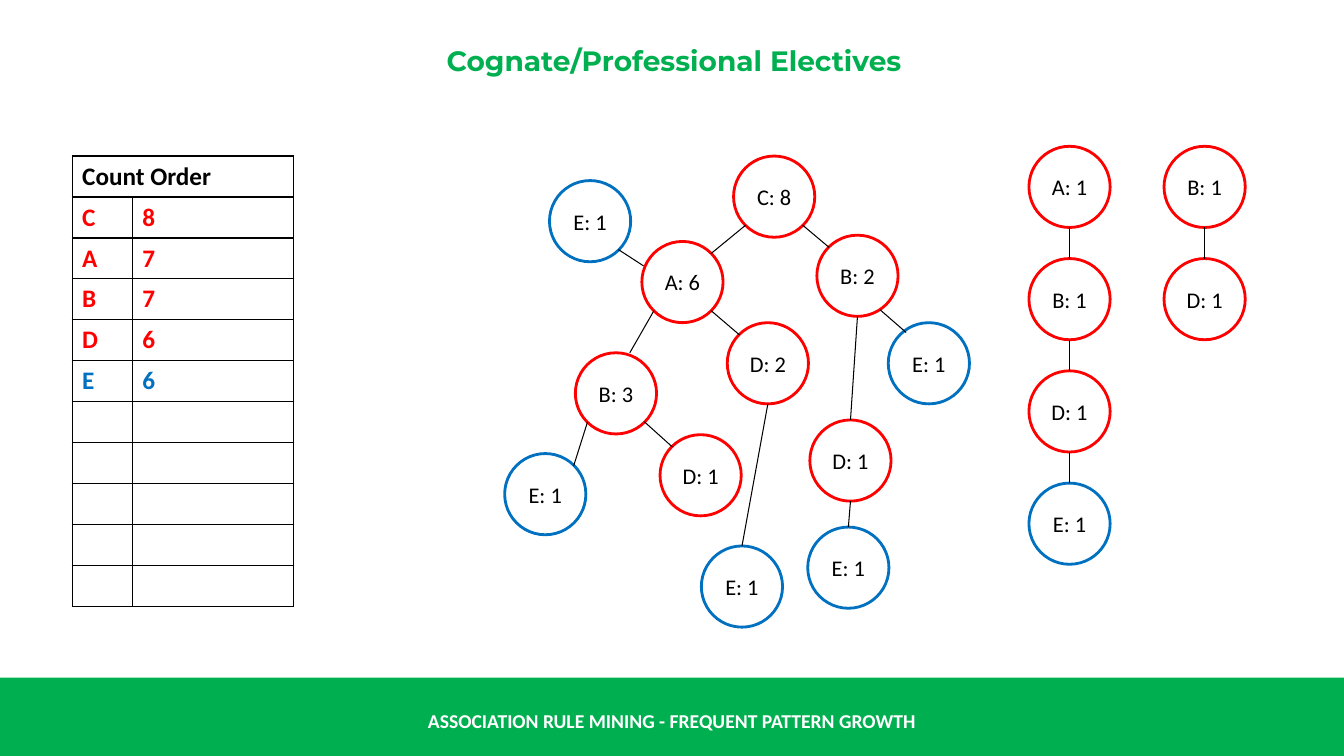
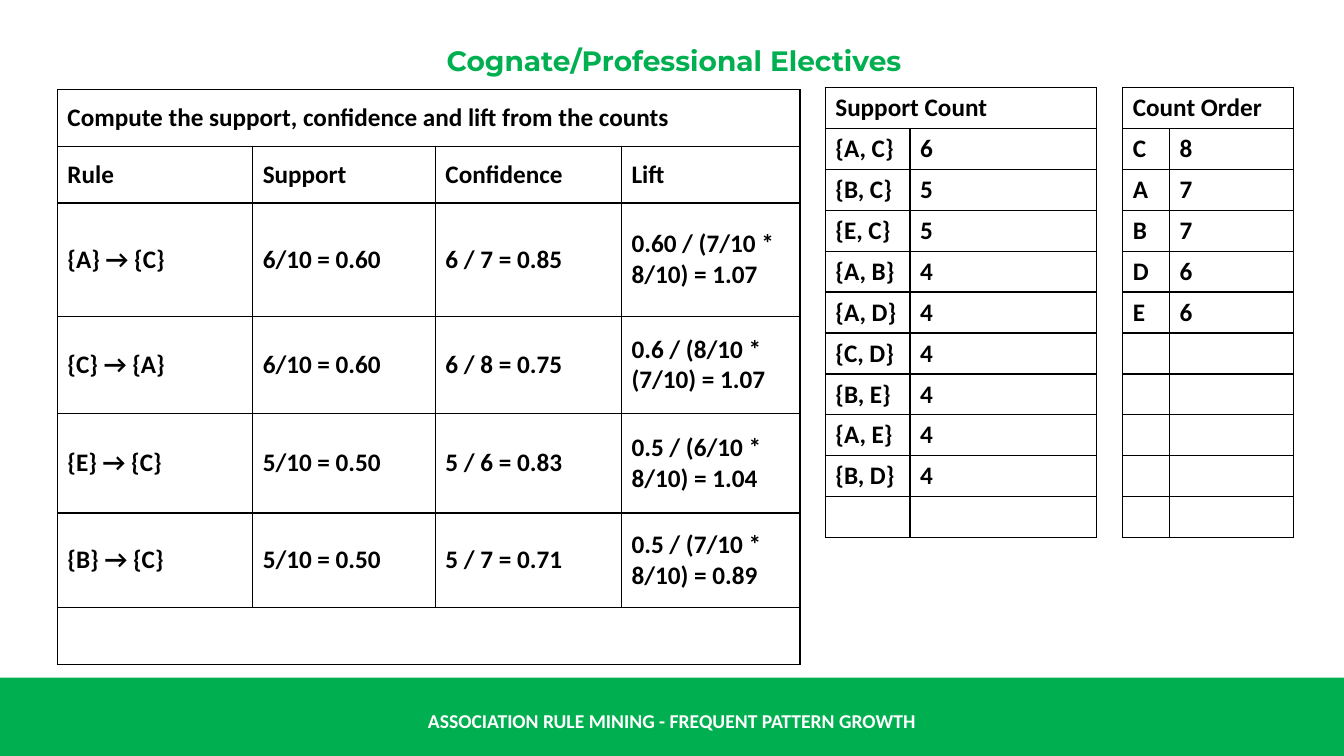
from dataclasses import dataclass
from itertools import pairwise

from lxml.etree import SubElement
from pptx import Presentation
from pptx.dml.color import RGBColor
from pptx.enum.shapes import MSO_CONNECTOR, MSO_SHAPE
from pptx.enum.text import MSO_ANCHOR, PP_ALIGN
from pptx.oxml import parse_xml
from pptx.oxml.ns import nsdecls, qn
from pptx.shapes.autoshape import Shape
from pptx.slide import Slide
from pptx.table import _Cell
from pptx.text.text import TextFrame
from pptx.util import Pt

GREEN, RED, BLUE = "00B050", "FF0000", "0070C0"
BLACK, WHITE = "000000", "FFFFFF"
BODY_FONT, TITLE_FONT = "Calibri", "Montserrat"
PAGE_WIDTH, PAGE_HEIGHT = 960, 540
BAND_TOP = 484
NODE_SIZE = 58
LIST_ROW = 29.25
LIST_ROWS = 11

# Places on a circle, as fractions of its bounding box
Site = tuple[float, float]
TOP, BOTTOM = (0.5, 0), (0.5, 1)
TOP_LEFT, TOP_RIGHT = (0.15, 0.15), (0.85, 0.15)
BOTTOM_LEFT, BOTTOM_RIGHT = (0.15, 0.85), (0.85, 0.85)


@dataclass(frozen=True)
class Node:
    label: str
    left: float
    top: float

    def point(self, site: Site) -> tuple[float, float]:
        return self.left + site[0] * NODE_SIZE, self.top + site[1] * NODE_SIZE


@dataclass(frozen=True)
class Edge:
    parent: str
    parent_site: Site
    child: str
    child_site: Site = TOP


@dataclass(frozen=True)
class Grid:
    """A bordered table; a row with a single text spans all columns."""
    left: float
    top: float
    widths: list[float]
    heights: list[float]
    rows: list[list[str]]
    coloured: bool = False


TREE = {
    "C": Node("C: 8", 524, 111.5),
    "CA": Node("A: 6", 458.5, 172.5),
    "CAB": Node("B: 3", 411, 252),
    "CAD": Node("D: 2", 519.5, 230.5),
    "CB": Node("B: 2", 583.5, 168),
    "CBE": Node("E: 1", 634.5, 230.5),
    "CABE": Node("E: 1", 360.5, 324),
    "CAE": Node("E: 1", 392.5, 129),
    "CABD": Node("D: 1", 471.5, 310.5),
    "CBD": Node("D: 1", 578.5, 300),
    "CBDE": Node("E: 1", 577, 376.5),
    "CADE": Node("E: 1", 501, 390),
}
TREE_EDGES = [
    Edge("C", BOTTOM_LEFT, "CA", TOP_RIGHT),
    Edge("C", BOTTOM_RIGHT, "CB", TOP_LEFT),
    Edge("CA", BOTTOM_LEFT, "CAB", (0.67, 0)),
    Edge("CA", BOTTOM_RIGHT, "CAD", TOP_LEFT),
    Edge("CA", (0.02, 0.3), "CAE", BOTTOM_RIGHT),
    Edge("CAB", BOTTOM_LEFT, "CABE", TOP_RIGHT),
    Edge("CAB", BOTTOM_RIGHT, "CABD", TOP_LEFT),
    Edge("CB", (0.78, 0.92), "CBE", (0.22, 0.12)),
    Edge("CB", BOTTOM, "CBD"),
    Edge("CBD", BOTTOM, "CBDE"),
    Edge("CAD", BOTTOM, "CADE"),
]
CHAINS = {735: "ABDE", 831.5: "BD"}
CHAIN_TOP, CHAIN_STEP = 104.5, 80.2

COUNT_ROWS = [["Count Order"], ["C", "8"], ["A", "7"], ["B", "7"],
              ["D", "6"], ["E", "6"]]
SUPPORT_ROWS = [["Support Count"], ["{A, C}", "6"], ["{B, C}", "5"],
                ["{E, C}", "5"]]
SUPPORT_ROWS += [[f"{{{pair}}}", "4"] for pair in
                 ("A, B", "A, D", "C, D", "B, E", "A, E", "B, D")]
RULE_ROWS = [
    ["Compute the support, confidence and lift from the counts"],
    ["Rule", "Support", "Confidence", "Lift"],
    ["{A} → {C}", "6/10 = 0.60", "6 / 7 = 0.85", "0.60 / (7/10 * 8/10) = 1.07"],
    ["{C} → {A}", "6/10 = 0.60", "6 / 8 = 0.75", "0.6 / (8/10 * (7/10) = 1.07"],
    ["{E} → {C}", "5/10 = 0.50", "5 / 6 = 0.83", "0.5 / (6/10 * 8/10) = 1.04"],
    ["{B} → {C}", "5/10 = 0.50", "5 / 7 = 0.71", "0.5 / (7/10 * 8/10) = 0.89"],
    [""],
]


def colour(value: str) -> RGBColor:
    return RGBColor.from_string(value)


def item_colour(label: str) -> str:
    return BLUE if label.startswith("E") else RED


def write(frame: TextFrame, text: str, *, size: float = 18, font: str = BODY_FONT,
          tint: str = BLACK, bold: bool = False,
          align: PP_ALIGN = PP_ALIGN.LEFT) -> None:
    para = frame.paragraphs[0]
    para.alignment = align
    span = para.add_run()
    span.text = text
    span.font.size = Pt(size)
    span.font.name = font
    span.font.bold = bold
    span.font.color.rgb = colour(tint)


def add_heading(page: Slide, text: str, left: float, top: float, width: float,
                height: float, **style) -> None:
    box = page.shapes.add_textbox(Pt(left), Pt(top), Pt(width), Pt(height))
    frame = box.text_frame
    frame.word_wrap = True
    frame.vertical_anchor = MSO_ANCHOR.MIDDLE
    write(frame, text, bold=True, align=PP_ALIGN.CENTER, **style)


def add_page(deck) -> Slide:
    """Add a blank slide with the shared title and footer band."""
    page = deck.slides.add_slide(deck.slide_layouts[6])
    band = page.shapes.add_shape(MSO_SHAPE.RECTANGLE, 0, Pt(BAND_TOP),
                                 Pt(PAGE_WIDTH), Pt(PAGE_HEIGHT - BAND_TOP))
    band.shadow.inherit = False
    band.fill.solid()
    band.fill.fore_color.rgb = colour(GREEN)
    band.line.fill.background()
    add_heading(page, "ASSOCIATION RULE MINING - FREQUENT PATTERN GROWTH",
                0, 500.5, PAGE_WIDTH, 29, size=14, tint=WHITE)
    add_heading(page, "Cognate/Professional Electives",
                20, 30.5, 923, 24.5, size=20, font=TITLE_FONT, tint=GREEN)
    return page


def add_node(page: Slide, node: Node) -> Shape:
    circle = page.shapes.add_shape(MSO_SHAPE.OVAL, Pt(node.left), Pt(node.top),
                                   Pt(NODE_SIZE), Pt(NODE_SIZE))
    circle.shadow.inherit = False
    circle.fill.background()
    circle.line.color.rgb = colour(item_colour(node.label))
    circle.line.width = Pt(2)
    frame = circle.text_frame
    frame.word_wrap = False
    frame.vertical_anchor = MSO_ANCHOR.MIDDLE
    write(frame, node.label, size=16, align=PP_ALIGN.CENTER)
    return circle


def add_graph(page: Slide, nodes: dict[str, Node], edges: list[Edge]) -> None:
    circles = {key: add_node(page, node) for key, node in nodes.items()}
    for edge in edges:
        start = nodes[edge.parent].point(edge.parent_site)
        end = nodes[edge.child].point(edge.child_site)
        line = page.shapes.add_connector(
            MSO_CONNECTOR.STRAIGHT, *(Pt(value) for value in start + end))
        if edge.child_site == TOP:
            line.end_connect(circles[edge.child], 0)
        line.line.color.rgb = colour(BLACK)
        line.line.width = Pt(0.75)
        SubElement(line._element.spPr, qn("a:effectLst"))


def add_chain(page: Slide, left: float, items: str) -> None:
    """Draw a vertical path of items that each occur once."""
    nodes = {item: Node(f"{item}: 1", left, CHAIN_TOP + index * CHAIN_STEP)
             for index, item in enumerate(items)}
    edges = [Edge(upper, BOTTOM, lower) for upper, lower in pairwise(items)]
    add_graph(page, nodes, edges)


def style_cell(cell: _Cell) -> None:
    cell.fill.background()
    cell.vertical_anchor = MSO_ANCHOR.MIDDLE
    properties = cell._tc.get_or_add_tcPr()
    for index, side in enumerate("LRTB"):
        properties.insert(index, parse_xml(
            f'<a:ln{side} {nsdecls("a")} w="{Pt(1)}"><a:solidFill>'
            f'<a:srgbClr val="{BLACK}"/></a:solidFill></a:ln{side}>'))


def add_grid(page: Slide, grid: Grid) -> None:
    count = len(grid.widths)
    table = page.shapes.add_table(
        len(grid.heights), count, Pt(grid.left), Pt(grid.top),
        Pt(sum(grid.widths)), Pt(sum(grid.heights))).table
    table.first_row = table.horz_banding = False
    for column, width in zip(table.columns, grid.widths):
        column.width = Pt(width)
    for row, height in zip(table.rows, grid.heights):
        row.height = Pt(height)
    for cell in table.iter_cells():
        style_cell(cell)
    for index, texts in enumerate(grid.rows):
        spanning = len(texts) == 1
        if spanning:
            table.cell(index, 0).merge(table.cell(index, count - 1))
        tint = item_colour(texts[0]) if grid.coloured and not spanning else BLACK
        for column, text in enumerate(texts):
            if text:
                write(table.cell(index, column).text_frame, text,
                      bold=True, tint=tint)


def build_tree_page(deck) -> None:
    page = add_page(deck)
    add_graph(page, TREE, TREE_EDGES)
    for left, items in CHAINS.items():
        add_chain(page, left, items)
    add_grid(page, Grid(51.5, 111.5, [43, 115], [LIST_ROW] * LIST_ROWS,
                        COUNT_ROWS, coloured=True))


def build_rules_page(deck) -> None:
    page = add_page(deck)
    heights = [40.5, 40.5, 81, 69.5, 71, 67.5, 40.5]
    add_grid(page, Grid(41, 64, [139.5, 130.5, 133, 127.5], heights, RULE_ROWS))
    add_grid(page, Grid(589.5, 62.5, [60.5, 133.5], [LIST_ROW] * LIST_ROWS,
                        SUPPORT_ROWS))
    add_grid(page, Grid(802, 62.5, [33.5, 88.5], [LIST_ROW] * LIST_ROWS,
                        COUNT_ROWS))


def main() -> None:
    deck = Presentation()
    deck.slide_width, deck.slide_height = Pt(PAGE_WIDTH), Pt(PAGE_HEIGHT)
    build_tree_page(deck)
    build_rules_page(deck)
    deck.save("out.pptx")


if __name__ == "__main__":
    main()
